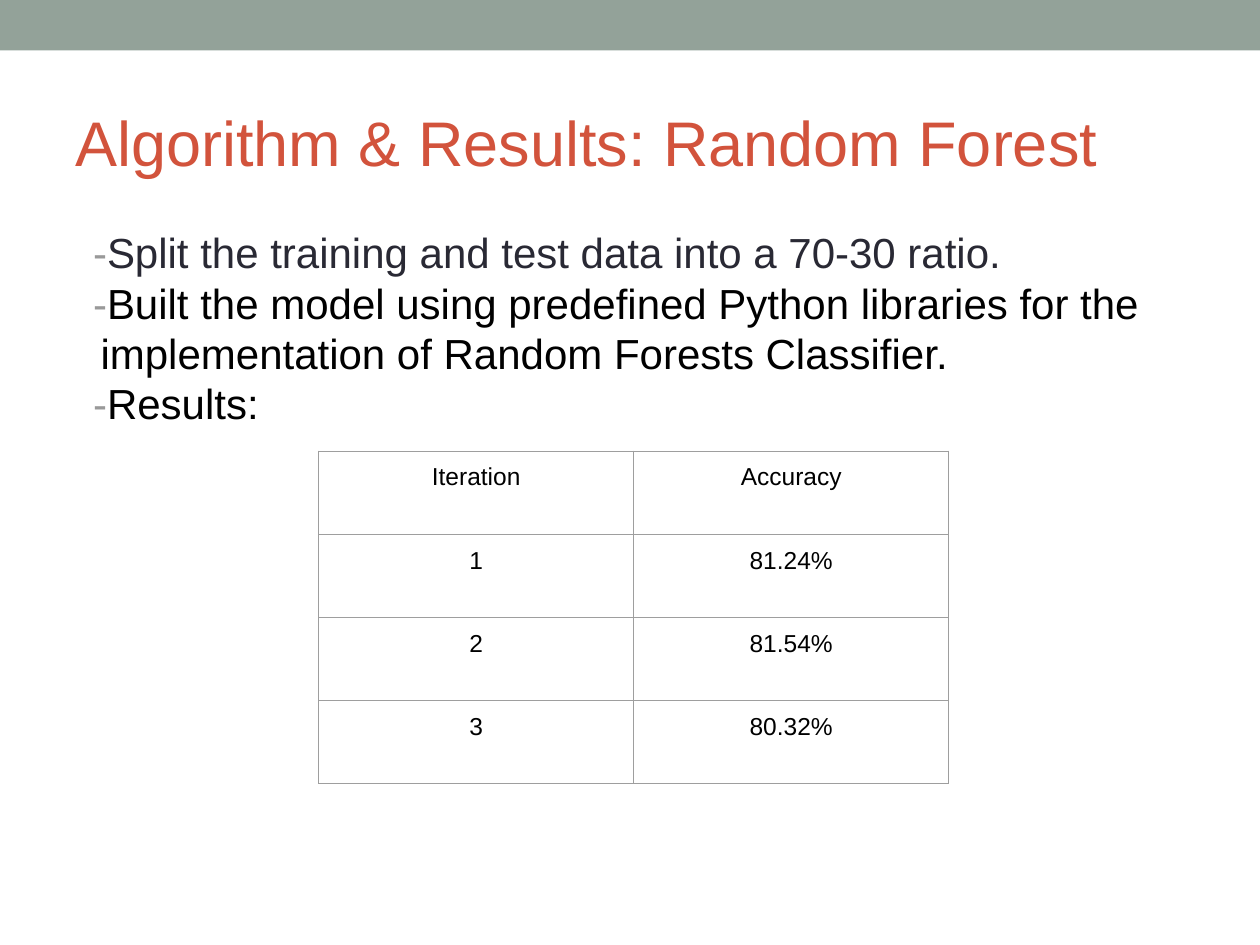
import pptx
import pptx.util
import pptx.dml.color
import pptx.enum.shapes
import pptx.enum.text
import pptx.oxml
import pptx.oxml.ns

Inches, Pt = pptx.util.Inches, pptx.util.Pt

COLORS = {
    "band": "93A299",
    "title": "D2533C",
    "dash": "999999",
    "dark": "292934",
    "black": "000000",
    "border": "9E9E9E",
}
FONT = "Arial"

TITLE = "Algorithm & Results: Random Forest"
POINTS = [
    ("Split the training and test data into a 70-30 ratio.", "dark"),
    ("Built the model using predefined Python libraries for the "
     "implementation of Random Forests Classifier.", "black"),
    ("Results:", "black"),
]
RESULTS = [
    ("Iteration", "Accuracy"),
    ("1", "81.24%"),
    ("2", "81.54%"),
    ("3", "80.32%"),
]
COLUMN_WIDTH, ROW_HEIGHT = 2.5, 0.66


def rgb(name):
    return pptx.dml.color.RGBColor.from_string(COLORS[name])


def add_run(paragraph, text, size, color):
    run = paragraph.add_run()
    run.text = text
    run.font.name = FONT
    run.font.size = Pt(size)
    run.font.color.rgb = rgb(color)


def add_text_frame(slide, left, top, width, height):
    box = slide.shapes.add_textbox(*map(Inches, (left, top, width, height)))
    box.text_frame.word_wrap = True
    return box.text_frame


def set_borders(cell, color, width):
    properties = cell._tc.get_or_add_tcPr()
    for position, side in enumerate("LRTB"):
        line = pptx.oxml.parse_xml(
            f'<a:ln{side} {pptx.oxml.ns.nsdecls("a")} w="{Pt(width)}">'
            f'<a:solidFill><a:srgbClr val="{COLORS[color]}"/></a:solidFill>'
            f'</a:ln{side}>')
        properties.insert(position, line)


def add_band(slide):
    band = slide.shapes.add_shape(
        pptx.enum.shapes.MSO_SHAPE.RECTANGLE, 0, 0, Inches(10), Inches(0.4))
    band.shadow.inherit = False
    band.fill.solid()
    band.fill.fore_color.rgb = rgb("band")
    band.line.fill.background()


def add_title(slide):
    frame = add_text_frame(slide, 0.5, 0.58, 9, 1.08)
    frame.vertical_anchor = pptx.enum.text.MSO_ANCHOR.MIDDLE
    add_run(frame.paragraphs[0], TITLE, 36, "title")


def add_points(slide):
    frame = add_text_frame(slide, 0.5, 1.75, 9, 5.33)
    for index, (text, color) in enumerate(POINTS):
        paragraph = frame.add_paragraph() if index else frame.paragraphs[0]
        indents = paragraph._p.get_or_add_pPr()
        indents.set("marL", str(Inches(0.2)))
        indents.set("indent", str(Inches(-0.06)))
        add_run(paragraph, "-", 24, "dash")
        add_run(paragraph, text, 24, color)


def add_results(slide):
    rows, columns = len(RESULTS), len(RESULTS[0])
    table = slide.shapes.add_table(
        rows, columns, Inches(2.53), Inches(3.58),
        Inches(columns * COLUMN_WIDTH), Inches(rows * ROW_HEIGHT)).table
    table.first_row = table.horz_banding = False
    for row, values in enumerate(RESULTS):
        table.rows[row].height = Inches(ROW_HEIGHT)
        for column, value in enumerate(values):
            cell = table.cell(row, column)
            cell.margin_left = cell.margin_right = Inches(0.1)
            cell.margin_top = cell.margin_bottom = Inches(0.1)
            cell.fill.background()
            set_borders(cell, "border", 0.75)
            paragraph = cell.text_frame.paragraphs[0]
            paragraph.alignment = pptx.enum.text.PP_ALIGN.CENTER
            add_run(paragraph, value, 14, "black")


def main():
    deck = pptx.Presentation()
    deck.slide_width, deck.slide_height = Inches(10), Inches(7.5)
    slide = deck.slides.add_slide(deck.slide_layouts[6])
    add_band(slide)
    add_title(slide)
    add_points(slide)
    add_results(slide)
    deck.save("out.pptx")


if __name__ == "__main__":
    main()
